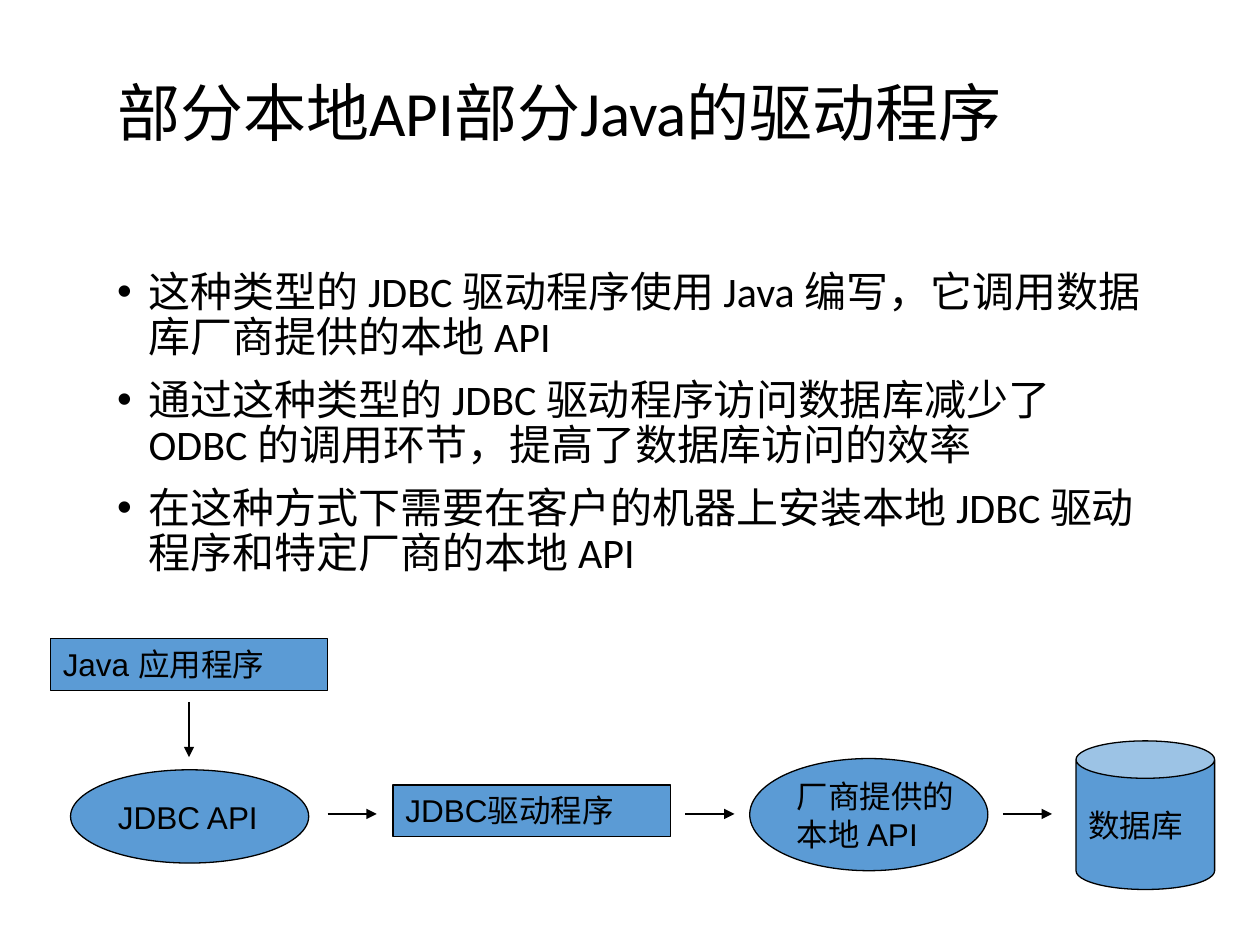
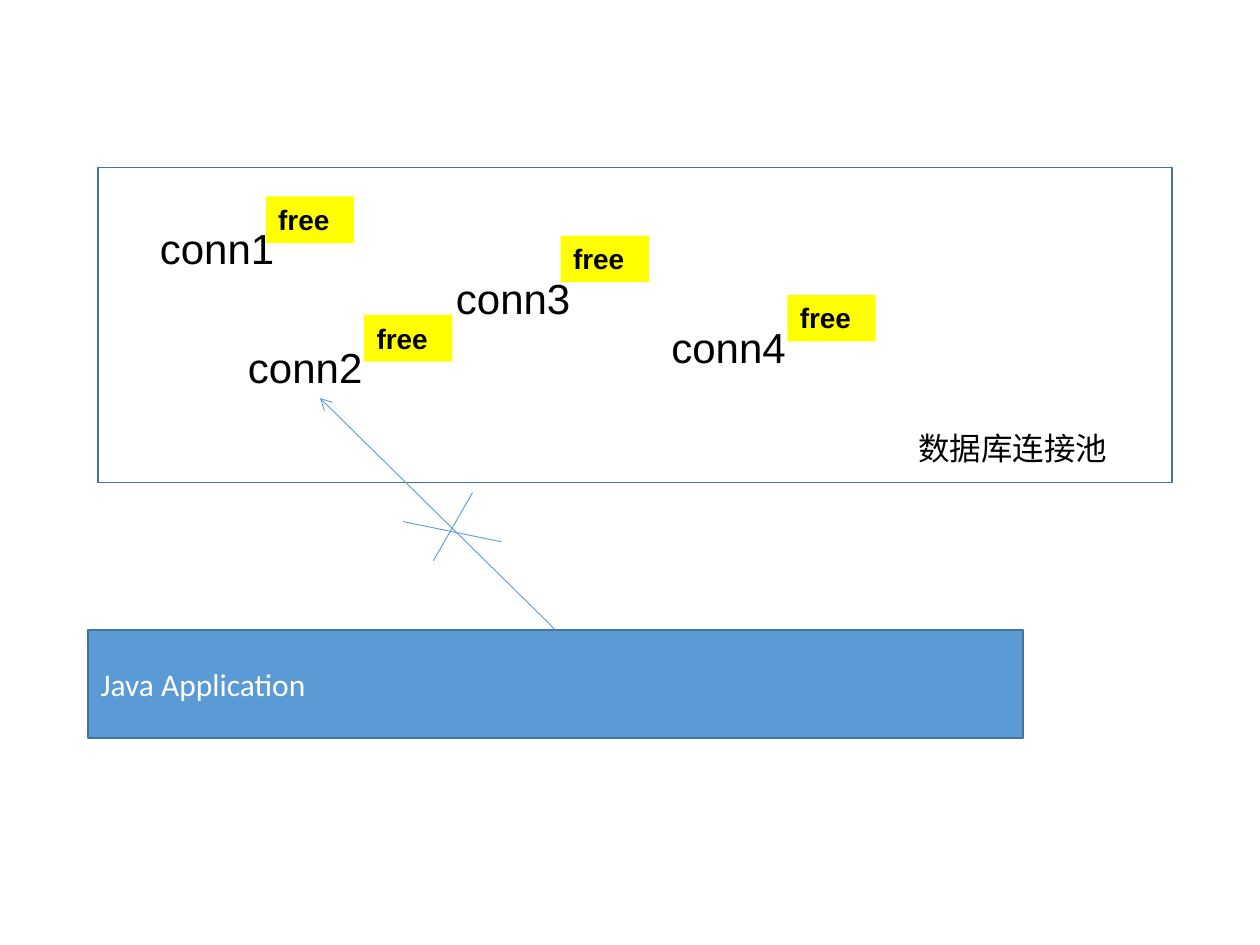
from lxml import etree
from pptx import Presentation
from pptx.dml.color import RGBColor
from pptx.enum.shapes import MSO_CONNECTOR, MSO_SHAPE as SHP
from pptx.enum.text import MSO_ANCHOR as ANCHOR, MSO_AUTO_SIZE as FIT, PP_ALIGN as ALIGN
from pptx.oxml.ns import qn
from pptx.util import Inches, Pt

COLORS = {"ink": "000000", "white": "FFFFFF", "blue": "5B9BD5",
          "edge": "43739E", "yellow": "FFFF00"}
COLS, ROWS = 100, 75
INDENT = 0.38

TITLE = ("部分本地API部分Java的驱动程序", (8.3, 6, 84.2, 15.7))
BODY_BOX = (8.3, 21, 84.2, 27.2)
BULLETS = [
    "这种类型的 JDBC 驱动程序使用 Java 编写，它调用数据库厂商提供的本地 API",
    "通过这种类型的 JDBC 驱动程序访问数据库减少了 ODBC 的调用环节，提高了数据库访问的效率",
    "在这种方式下需要在客户的机器上安装本地 JDBC 驱动程序和特定厂商的本地 API",
]
FLOW = [
    ("Java 应用程序", SHP.RECTANGLE, (4, 50.7, 22, 4.1)),
    ("JDBC API", SHP.OVAL, (5.6, 61.1, 18.9, 7.4)),
    ("JDBC驱动程序", SHP.RECTANGLE, (31.2, 62.3, 22, 4.1)),
    ("厂商提供的\n本地 API", SHP.OVAL, (59.5, 60.2, 18.9, 8.9)),
    ("数据库", SHP.CAN, (85.4, 58.8, 11, 11.8)),
]
FLOW_ROW, ARROW_COLS, ARROW_LEN = 64.6, (26, 54.4, 79.6), 3.9
DOWN_ARROW = (15, 55.7, 15, 60.1)

POOL_BOX = (7.8, 13.3, 85.2, 25)
POOL_LABEL = ("数据库连接池", (71.9, 33.6, 20.3, 4))
CONNS = [
    ("conn1", (11.7, 17.2), (21.1, 15.6)),
    ("conn2", (18.7, 26.6), (28.9, 25)),
    ("conn3", (35.2, 21.1), (44.5, 18.7)),
    ("conn4", (52.3, 25), (62.5, 23.4)),
]
CONN_SIZE, TAG_SIZE = (13.3, 5), (7, 3.7)
APP = ("Java Application", (7, 50, 74.2, 8.6))
REQUEST = (44.1, 50, 25.4, 31.6)
CROSS = [(37.5, 39.1, 34.4, 44.5), (32, 41.4, 39.8, 43)]

prs = Presentation()
prs.slide_width, prs.slide_height = Inches(10), Inches(7.5)


def rgb(name):
    return RGBColor.from_string(COLORS[name])


def grid(box):
    units = (prs.slide_width / COLS, prs.slide_height / ROWS)
    return [round(v * units[i % 2]) for i, v in enumerate(box)]


def write(tf, text, size, font="Arial", color="ink", bold=False):
    tf.text = text
    for p in tf.paragraphs:
        for r in p.runs:
            r.font.size, r.font.name, r.font.bold = Pt(size), font, bold
            r.font.color.rgb = rgb(color)


def hang(p, inches):
    pPr = p._p.get_or_add_pPr()
    pPr.set("marL", str(Inches(inches)))
    pPr.set("indent", str(-Inches(inches)))


def add_placeholder(sp, box, text, size):
    sp.left, sp.top, sp.width, sp.height = grid(box)
    tf = sp.text_frame
    write(tf, text, size, "Calibri")
    tf.auto_size, tf.vertical_anchor = FIT.NONE, ANCHOR.TOP
    for p in tf.paragraphs:
        p.line_spacing, p.alignment = 0.9, ALIGN.LEFT
    return tf


def add_shape(s, kind, box, fill=None, line=None, weight=1):
    sp = s.shapes.add_shape(kind, *grid(box))
    sp.shadow.inherit = False
    if fill:
        sp.fill.solid()
        sp.fill.fore_color.rgb = rgb(fill)
    else:
        sp.fill.background()
    if line:
        sp.line.color.rgb, sp.line.width = rgb(line), Pt(weight)
    else:
        sp.line.fill.background()
    return sp


def add_text(s, text, box, size):
    tf = s.shapes.add_textbox(*grid(box)).text_frame
    tf.word_wrap = True
    write(tf, text, size)


def add_line(s, ends, color, weight, head=None):
    c = s.shapes.add_connector(MSO_CONNECTOR.STRAIGHT, *grid(ends))
    c.line.color.rgb, c.line.width = rgb(color), Pt(weight)
    if head:
        etree.SubElement(c.line._get_or_add_ln(), qn("a:tailEnd"), type=head)
    etree.SubElement(c._element.spPr, qn("a:effectLst"))
    return c


def driver_slide():
    s = prs.slides.add_slide(prs.slide_layouts[1])
    text, box = TITLE
    add_placeholder(s.shapes.title, box, text, 36)
    tf = add_placeholder(s.placeholders[1], BODY_BOX, "\n".join(BULLETS), 24)
    for i, p in enumerate(tf.paragraphs):
        hang(p, 0.25)
        p.space_before = Pt(10 if i else 0)
    for text, kind, box in FLOW:
        sp = add_shape(s, kind, box, "blue", "ink", 0.75)
        tf = sp.text_frame
        write(tf, text, 18)
        is_rect = kind == SHP.RECTANGLE
        tf.word_wrap = is_rect
        tf.vertical_anchor = ANCHOR.TOP if is_rect else ANCHOR.MIDDLE
        if kind == SHP.CAN:
            sp.adjustments[0] = 0.27
        for p in tf.paragraphs:
            hang(p, INDENT)
            p.alignment = ALIGN.LEFT
    across = [(x, FLOW_ROW, x + ARROW_LEN, FLOW_ROW) for x in ARROW_COLS]
    for ends in [DOWN_ARROW, *across]:
        add_line(s, ends, "ink", 0.75, "triangle")


def pool_slide():
    s = prs.slides.add_slide(prs.slide_layouts[6])
    add_shape(s, SHP.RECTANGLE, POOL_BOX, line="edge")
    add_text(s, *POOL_LABEL, 18)
    for name, at, _ in CONNS:
        add_text(s, name, at + CONN_SIZE, 24)
    text, box = APP
    app = add_shape(s, SHP.RECTANGLE, box, "blue", "edge")
    write(app.text_frame, text, 18, "Calibri", "white")
    add_line(s, REQUEST, "blue", 0.5, "arrow").begin_connect(app, 0)
    for _, _, at in CONNS:
        tf = add_shape(s, SHP.RECTANGLE, at + TAG_SIZE, "yellow").text_frame
        write(tf, "free", 16, bold=True)
        tf.vertical_anchor = ANCHOR.TOP
        tf.paragraphs[0].alignment = ALIGN.LEFT
    for ends in CROSS:
        add_line(s, ends, "blue", 0.5)


if __name__ == "__main__":
    driver_slide()
    pool_slide()
    prs.save("out.pptx")
